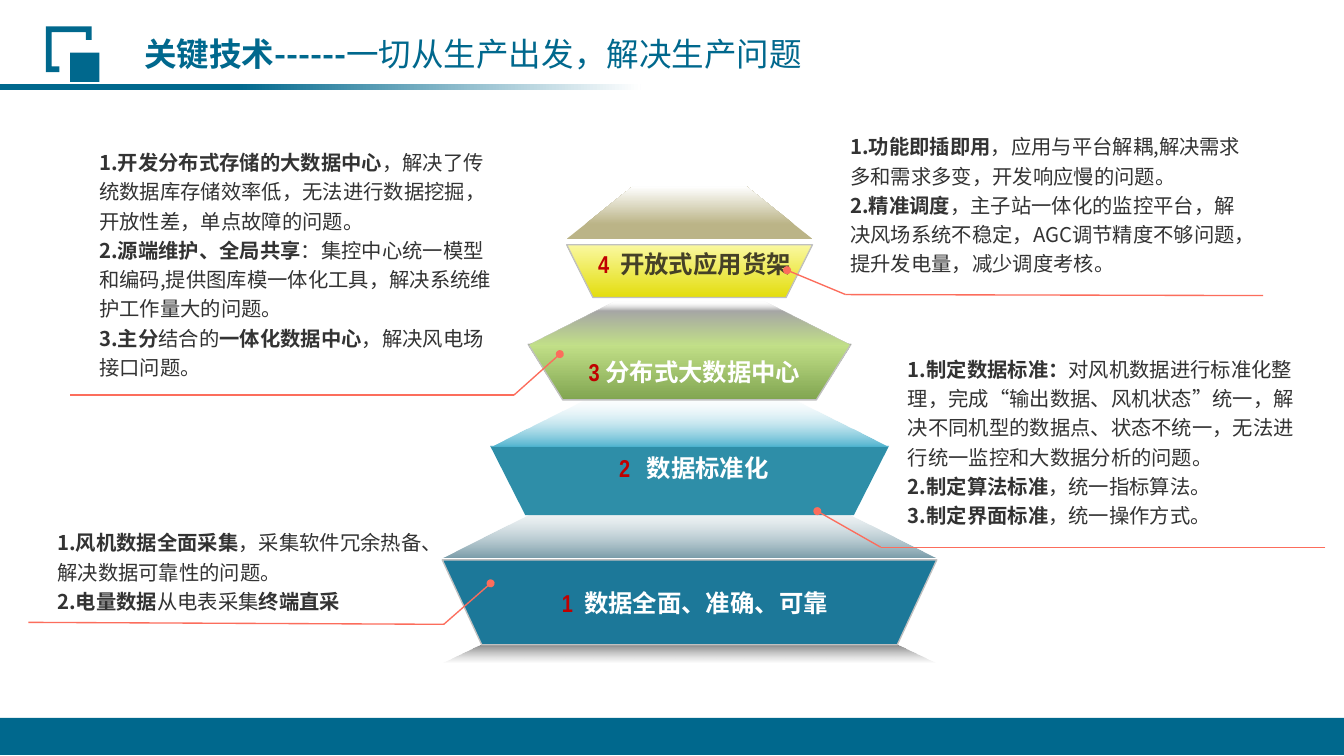
from pptx import Presentation
from pptx.dml.color import RGBColor
from pptx.enum.shapes import MSO_CONNECTOR, MSO_SHAPE
from pptx.enum.text import PP_ALIGN
from pptx.oxml import parse_xml
from pptx.oxml.ns import nsdecls, qn
from pptx.util import Inches, Pt
from lxml.etree import SubElement

COLORS = {
    "teal": "00688D", "white": "FFFFFF", "red": "C00000", "text": "333333",
    "leader": "FC6D5C", "edge": "C0C0C0", "blue": "2E8EA8", "sky": "4EB3CF",
    "slate": "2A6175", "green": "81A551", "lime": "C2E088", "grey": "A6A6A6",
    "gold": "E3DD0D", "cream": "FAF8A0", "khaki": "BBB487", "olive": "454027",
    "shade": "5F5F5F", "black": "000000",
}
SANS, NARROW = "Noto Sans CJK SC", "Arial Narrow"
CENTER = 7.07

TITLE = ["关键技术------", "一切从生产出发，解决生产问题"]
BRACKET = [(0.47, 0.27), (0.94, 0.27), (0.94, 0.41), (0.88, 0.41), (0.88, 0.33),
           (0.53, 0.33), (0.53, 0.68), (0.61, 0.68), (0.61, 0.74), (0.47, 0.74)]
BARS = [
    ((0.72, 0.54, 0.3, 0.3), [(0, "teal", 100)]),
    ((0, 0.86, 6.57, 0.06), [(37, "teal", 100), (100, "white", 100)]),
    ((0, 7.36, 13.78, 0.38), [(0, "teal", 100)]),
]
# wide width, wide y, narrow width, narrow y, colour stops from the bottom up, outlined
FACES = [
    (5.07, 6.79, 4.26, 6.61, [(0, "shade", 0), (100, "black", 50)], False),
    (5.07, 5.74, 4.26, 6.61, [(0, "teal", 89)], True),
    (5.07, 5.72, 2.33, 5.04, [(0, "slate", 63), (100, "white", 0)], False),
    (4.09, 4.57, 3.37, 5.28, [(0, "blue", 100)], False),
    (4.09, 4.58, 1.88, 4.03, [(0, "sky", 100), (100, "white", 0)], False),
    (3.31, 3.53, 2.6, 4.1, [(0, "green", 100), (100, "lime", 100)], True),
    (3.31, 3.53, 1.53, 3.09,
     [(0, "lime", 100), (78, "grey", 100), (100, "white", 0)], False),
    (2.52, 2.51, 1.98, 3.05, [(0, "gold", 100), (100, "cream", 100)], True),
    (2.52, 2.45, 1.16, 1.91, [(28, "khaki", 100), (100, "white", 100)], False),
]
# box, number, number tracking in points, label, label colour
LABELS = [
    ((5.14, 5.98, 3.97, 0.38), "1 ", 2, "数据全面、准确、可靠", "white"),
    ((6.03, 4.6, 2.17, 0.37), "2 ", 4, "数据标准化", "white"),
    ((5.86, 3.61, 2.52, 0.42), "3 ", 0, "分布式大数据中心", "white"),
    ((5.97, 2.5, 2.3, 0.37), "4 ", 2, "开放式应用货架", "olive"),
]
# box, leader points, paragraphs of alternating bold and regular text
NOTES = [
    ((0.49, 5.34, 4.29, 1.01), [(0.29, 6.38), (4.55, 6.4), (5.03, 5.98)], [
        ["1.风机数据全面采集", "，采集软件冗余热备、解决数据可靠性的问题。"],
        ["2.电量数据", "从电表采集", "终端直采"]]),
    ((9.21, 3.56, 4.29, 1.92), [(13.59, 5.61), (9.03, 5.61), (8.38, 5.24)], [
        ["1.制定数据标准：", "对风机数据进行标准化整理，完成“输出数据、风机状态”统一，"
         "解决不同机型的数据点、状态不统一，无法进行统一监控和大数据分析的问题。"],
        ["2.制定算法标准", "，统一指标算法。"],
        ["3.制定界面标准", "，统一操作方式。"]]),
    ((0.92, 1.44, 4.29, 2.52), [(0.72, 4.05), (5.27, 4.05), (5.74, 3.63)], [
        ["1.开发分布式存储的大数据中心",
         "，解决了传统数据库存储效率低，无法进行数据挖掘，开放性差，单点故障的问题。"],
        ["2.源端维护、全局共享",
         "：集控中心统一模型和编码,提供图库模一体化工具，解决系统维护工作量大的问题。"],
        ["3.主分", "结合的", "一体化数据中心", "，解决风电场接口问题。"]]),
    ((8.62, 1.28, 4.29, 1.62), [(12.95, 3.03), (8.67, 3.02), (8.07, 2.77)], [
        ["1.功能即插即用", "，应用与平台解耦,解决需求多和需求多变，开发响应慢的问题。"],
        ["2.精准调度", "，主子站一体化的监控平台，解决风场系统不稳定，"
         "AGC调节精度不够问题，提升发电量，减少调度考核。"]]),
]


def rgb(name):
    return RGBColor.from_string(COLORS[name])


def paint(sp, stops, angle=270, outlined=False):
    sp.shadow.inherit = False
    sp.fill.solid()
    colors = [f'<a:srgbClr val="{COLORS[c]}"><a:alpha val="{a * 1000}"/></a:srgbClr>'
              for _, c, a in stops]
    if len(stops) == 1:
        xml = f'<a:solidFill {nsdecls("a")}>{colors[0]}</a:solidFill>'
    else:
        marks = "".join(f'<a:gs pos="{stop[0] * 1000}">{color}</a:gs>'
                        for stop, color in zip(stops, colors))
        xml = (f'<a:gradFill {nsdecls("a")} rotWithShape="1"><a:gsLst>{marks}</a:gsLst>'
               f'<a:lin ang="{angle * 60000}" scaled="0"/></a:gradFill>')
    spPr = sp._element.spPr
    spPr.replace(spPr.find(qn("a:solidFill")), parse_xml(xml))
    if outlined:
        sp.line.color.rgb = rgb("edge")
        sp.line.width = Pt(1)
    else:
        sp.line.fill.background()


def add_outline(s, points, stops, outlined=False):
    pts = [(Inches(x), Inches(y)) for x, y in points]
    fb = s.shapes.build_freeform(*pts[0])
    fb.add_line_segments(pts[1:], close=True)
    paint(fb.convert_to_shape(), stops, outlined=outlined)


def add_box(s, box, wrap=True):
    tf = s.shapes.add_textbox(*map(Inches, box)).text_frame
    tf.word_wrap = wrap
    return tf


def add_run(p, text, size, font, color, bold):
    r = p.add_run()
    r.text = text
    r.font.size, r.font.name, r.font.bold = Pt(size), font, bold
    r.font.color.rgb = rgb(color)
    SubElement(r._r.get_or_add_rPr(), qn("a:ea")).set("typeface", SANS)
    return r


def add_mixed(p, parts, size, color):
    for i, part in enumerate(parts):
        add_run(p, part, size, SANS, color, i % 2 == 0)


def add_leader(s, points):
    for start, end in zip(points, points[1:]):
        ln = s.shapes.add_connector(MSO_CONNECTOR.STRAIGHT, *map(Inches, start + end))
        ln.line.color.rgb = rgb("leader")
        ln.line.width = Pt(1)
        if end == points[-1]:
            SubElement(ln.line._get_or_add_ln(), qn("a:tailEnd")).set("type", "oval")
        SubElement(ln._element.spPr, qn("a:effectLst"))


def main():
    """Build the key technology slide."""
    prs = Presentation()
    prs.slide_width, prs.slide_height = Inches(13.78), Inches(7.75)
    s = prs.slides.add_slide(prs.slide_layouts[6])

    add_outline(s, BRACKET, [(0, "teal", 100)])
    for box, stops in BARS:
        paint(s.shapes.add_shape(MSO_SHAPE.RECTANGLE, *map(Inches, box)), stops, angle=0)
    add_mixed(add_box(s, (1.38, 0.3, 7.21, 0.5)).paragraphs[0], TITLE, 24, "teal")

    for wide, wide_y, narrow, narrow_y, stops, outlined in FACES:
        w, n = wide / 2, narrow / 2
        add_outline(s, [(CENTER - w, wide_y), (CENTER - n, narrow_y),
                        (CENTER + n, narrow_y), (CENTER + w, wide_y)], stops, outlined)
    for box, number, tracking, label, color in LABELS:
        p = add_box(s, box, wrap=False).paragraphs[0]
        p.alignment = PP_ALIGN.CENTER
        r = add_run(p, number, 18, NARROW, "red", True)
        r._r.get_or_add_rPr().set("spc", str(tracking * 100))
        add_run(p, label, 18, NARROW, color, True)

    for box, points, paragraphs in NOTES:
        add_leader(s, points)
        tf = add_box(s, box)
        for i, parts in enumerate(paragraphs):
            p = tf.add_paragraph() if i else tf.paragraphs[0]
            p.line_spacing = 1.2
            add_mixed(p, parts, 15, "text")
    prs.save("out.pptx")


if __name__ == "__main__":
    main()
